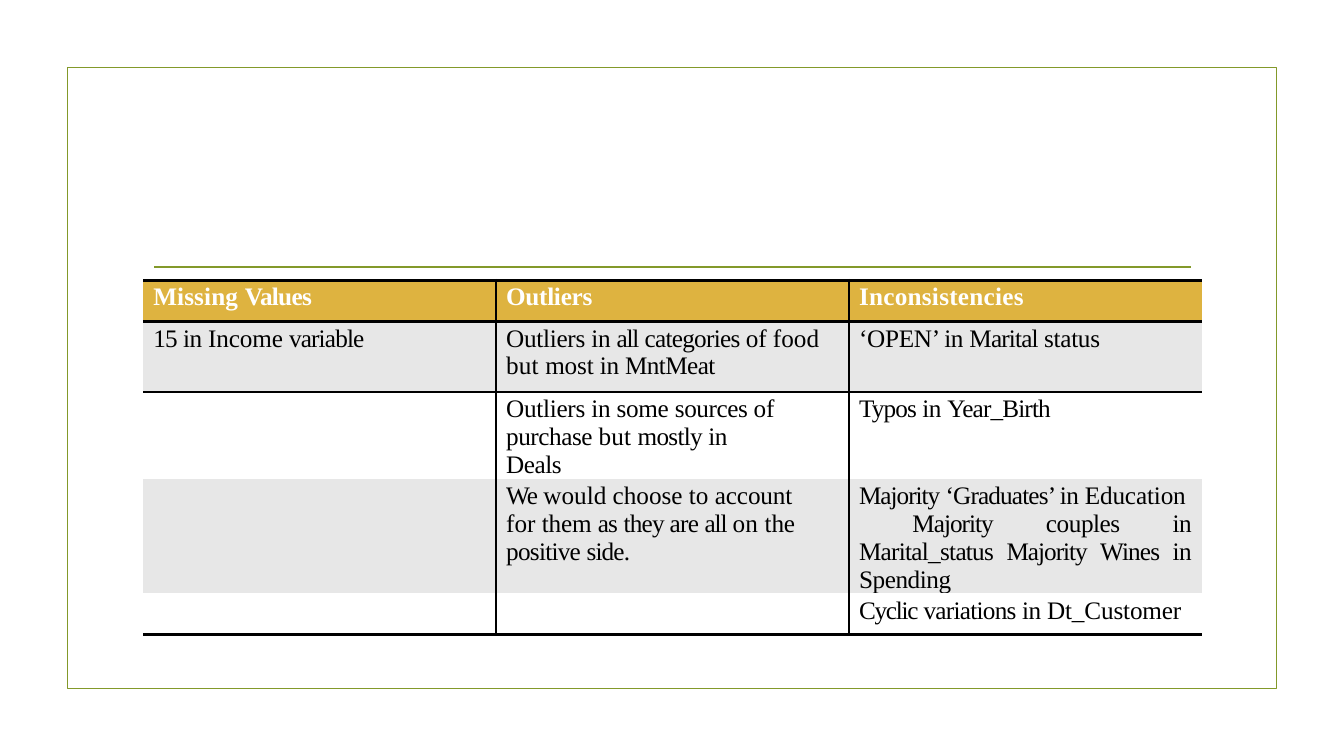
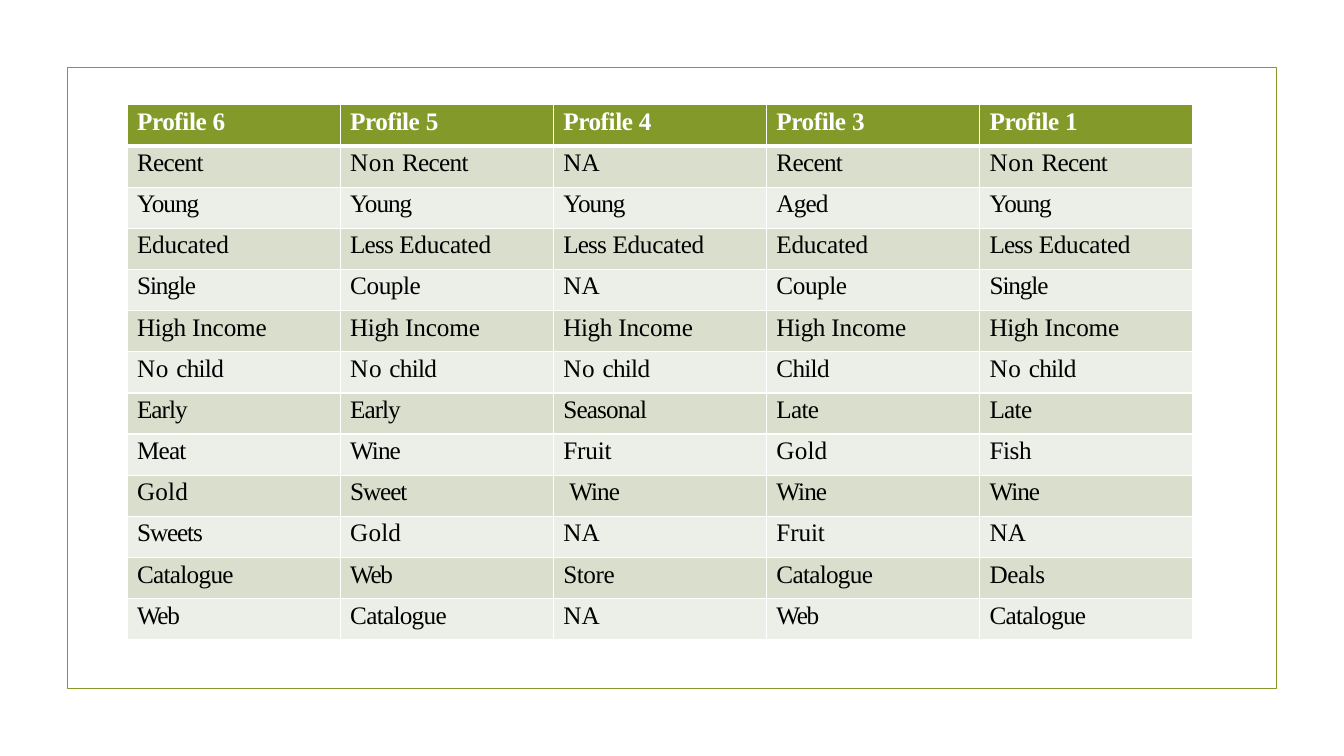
from itertools import groupby

from lxml import etree
from pptx import Presentation
from pptx import util as u
from pptx.dml.color import RGBColor
from pptx.enum import shapes, text
from pptx.oxml.ns import qn

PX = 9144  # EMU; 100 px to the inch
SLIDE_SIZE = (1333, 750)
FRAME = (67, 67, 1199, 616)
TITLE_RULE = (153, 265, 1181, 265)
FONT = "Times New Roman"
TEXT_SIZE = 18
CELL_INDENT = 10
COLORS = {
    "olive": "83992A", "gold": "DEB340", "black": "000000", "white": "FFFFFF",
    "grey": "E7E7E7", "sage": "D9DECD", "pale": "ECEEE8",
}

# Letter spacing in hundredths of a point
TRACKING = {
    50: "No",
    40: "Non",
    20: "Inconsistencies",
    10: "Missing but on Gold",
    -10: "Income of most account them the Education Dt_Customer Fruit",
    -20: "Outliers ‘OPEN’ status some Educated",
    -30: "in sources purchase Deals couples Spending Profile High Couple Fish Store",
    -40: "MntMeat",
    -50: "Values categories mostly they are positive Marital_status variations "
         "Recent child Child Late Catalogue",
    -60: "15 variable Marital Typos Year_Birth as side. ‘Graduates’ Wines "
         "Aged Seasonal Meat Less 6 5 4 3",
    -70: "We Majority Young Early Wine",
    -80: "all Single Sweet Sweets",
    -90: "Cyclic",
    -100: "Web",
    -190: "1",
}
WORD_TRACKING = {word: value for value, words in TRACKING.items() for word in words.split()}

# A cell is a string, or a list of (paragraph, first-line indent);
# \n starts a paragraph and \v a line.
ISSUES = [
    ["Missing Values", "Outliers", "Inconsistencies"],
    ["15 in Income variable",
     "Outliers in all categories of food\nbut most in MntMeat",
     "‘OPEN’ in Marital status"],
    ["", "Outliers in some sources of\vpurchase but mostly in\vDeals",
     "Typos in Year_Birth"],
    ["", "We would choose to account\vfor them as they are all on the\vpositive side.",
     [("Majority ‘Graduates’ in Education", 0),
      ("Majority couples in\vMarital_status Majority Wines in\vSpending", 53)]],
    ["", "", "Cyclic variations in Dt_Customer"],
]
ISSUES_AT = (142, 278, 1050)
ISSUE_ROWS = [41, 70, 70, 100, 41]
JUSTIFIED_ISSUE = (3, 2)

PROFILES = [
    ["Profile 6", "Profile 5", "Profile 4", "Profile 3", "Profile 1"],
    ["Recent", "Non Recent", "NA", "Recent", "Non Recent"],
    ["Young", "Young", "Young", "Aged", "Young"],
    ["Educated", "Less Educated", "Less Educated", "Educated", "Less Educated"],
    ["Single", "Couple", "NA", "Couple", "Single"],
    ["High Income"] * 5,
    ["No child", "No child", "No child", "Child", "No child"],
    ["Early", "Early", "Seasonal", "Late", "Late"],
    ["Meat", "Wine", "Fruit", "Gold", "Fish"],
    ["Gold", "Sweet", [("Wine", 6)], "Wine", "Wine"],
    ["Sweets", "Gold", "NA", "Fruit", "NA"],
    ["Catalogue", "Web", "Store", "Catalogue", "Deals"],
    ["Web", "Catalogue", "NA", "Web", "Catalogue"],
]
PROFILES_AT = (126, 104, 1057)
PROFILES_HEIGHT = 531


def px(length):
    return u.Emu(round(length * PX))


def rgb(name):
    return RGBColor.from_string(COLORS[name])


def add_framed_slide(prs):
    slide = prs.slides.add_slide(prs.slide_layouts[6])
    frame = slide.shapes.add_shape(shapes.MSO_SHAPE.RECTANGLE, *map(px, FRAME))
    frame.shadow.inherit = False
    frame.fill.background()
    frame.line.color.rgb = rgb("olive")
    frame.line.width = u.Pt(1.25)
    return slide


def add_title_rule(slide):
    rule = slide.shapes.add_connector(shapes.MSO_CONNECTOR.STRAIGHT, *map(px, TITLE_RULE))
    rule.line.color.rgb = rgb("olive")
    rule.line.width = u.Pt(1.25)
    etree.SubElement(rule._element.spPr, qn("a:effectLst"))


def add_tracked_line(paragraph, line, color, bold):
    """Write a line, one run for each stretch of equally spaced words."""
    words = line.split()
    spaced = [(word + " " * (i < len(words) - 1), WORD_TRACKING.get(word, 0))
              for i, word in enumerate(words)]
    for tracking, stretch in groupby(spaced, key=lambda pair: pair[1]):
        run = paragraph.add_run()
        run.text = "".join(word for word, _ in stretch)
        run.font.name = FONT
        run.font.size = u.Pt(TEXT_SIZE)
        run.font.bold = bold
        run.font.color.rgb = rgb(color)
        run._r.get_or_add_rPr().set("spc", str(tracking))


def write_cell(cell, content, color, bold):
    cell.margin_left = cell.margin_bottom = 0
    cell.margin_right = px(10)
    cell.margin_top = px(3)
    if isinstance(content, str):
        content = [(part, 0) for part in content.split("\n")]
    for i, (part, first_indent) in enumerate(content):
        frame = cell.text_frame
        paragraph = frame.add_paragraph() if i else frame.paragraphs[0]
        paragraph.space_before = u.Pt(0 if i else 2.2)
        props = paragraph._p.get_or_add_pPr()
        props.set("marL", str(px(CELL_INDENT)))
        props.set("indent", str(px(first_indent)))
        for j, line in enumerate(part.split("\v")):
            if j:
                paragraph.add_line_break()
            add_tracked_line(paragraph, line, color, bold)


def set_borders(cell, color, widths):
    """Draw the cell's edges; widths are points for L, R, T, B, 0 for none."""
    props = cell._tc.get_or_add_tcPr()
    for i, (side, width) in enumerate(zip("LRTB", widths)):
        edge = etree.Element(qn(f"a:ln{side}"), w=str(u.Pt(width)))
        if width:
            fill = etree.SubElement(edge, qn("a:solidFill"))
            etree.SubElement(fill, qn("a:srgbClr"), val=COLORS[color])
        else:
            etree.SubElement(edge, qn("a:noFill"))
        props.insert(i, edge)


def add_grid(slide, rows, at, heights, fills, border, rules, column_rules):
    """fills: header, odd and even rows; rules: widths of the lines above, between and below."""
    left, top, width = at
    columns = len(rows[0])
    table = slide.shapes.add_table(len(rows), columns, px(left), px(top),
                                   px(width), px(sum(heights))).table
    for column in table.columns:
        column.width = px(width / columns)
    for r, (contents, height) in enumerate(zip(rows, heights)):
        table.rows[r].height = px(height)
        fill = fills[0] if r == 0 else fills[2 - r % 2]
        for c, content in enumerate(contents):
            cell = table.cell(r, c)
            cell.fill.solid()
            cell.fill.fore_color.rgb = rgb(fill)
            set_borders(cell, border, (column_rules[c], column_rules[c + 1],
                                       rules[r], rules[r + 1]))
            write_cell(cell, content, "black" if r else "white", r == 0)
    return table


def main():
    prs = Presentation()
    prs.slide_width, prs.slide_height = map(px, SLIDE_SIZE)

    issues_slide = add_framed_slide(prs)
    add_title_rule(issues_slide)
    issues = add_grid(issues_slide, ISSUES, ISSUES_AT, ISSUE_ROWS,
                      ("gold", "grey", "white"), "black",
                      (2.25, 2.25, 1.5, 0, 0, 2.25), (0, 1, 1, 0))
    for paragraph in issues.cell(*JUSTIFIED_ISSUE).text_frame.paragraphs:
        paragraph.alignment = text.PP_ALIGN.JUSTIFY

    count = len(PROFILES)
    add_grid(add_framed_slide(prs), PROFILES, PROFILES_AT,
             [PROFILES_HEIGHT / count] * count, ("olive", "sage", "pale"), "white",
             [1, 3] + [1] * (count - 1), [1] * (len(PROFILES[0]) + 1))

    prs.save("out.pptx")


if __name__ == "__main__":
    main()
